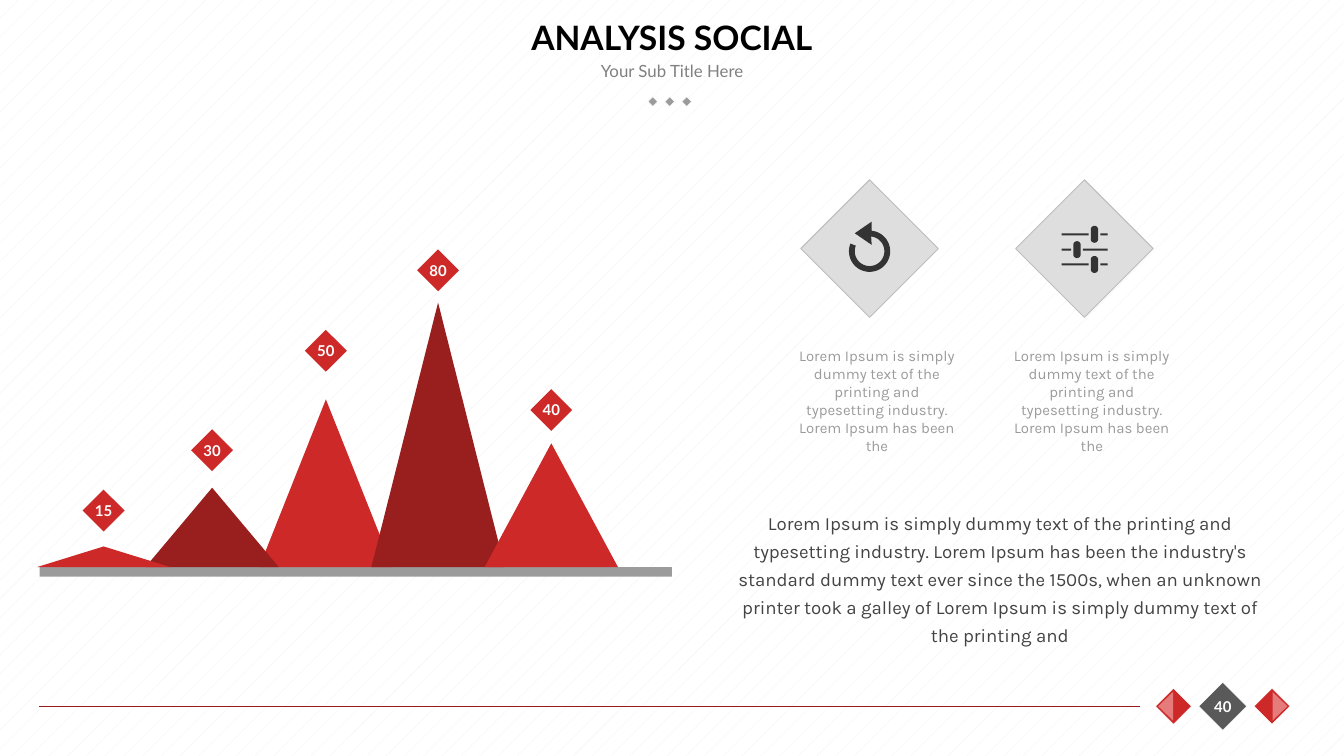
import math

import pptx
import pptx.dml.color
import pptx.enum.dml
import pptx.enum.shapes
import pptx.enum.text
import pptx.oxml.ns
import pptx.util
from lxml import etree

Cm = pptx.util.Cm
Pt = pptx.util.Pt
RGBColor = pptx.dml.color.RGBColor
Shape = pptx.enum.shapes.MSO_SHAPE
Align = pptx.enum.text.PP_ALIGN
Anchor = pptx.enum.text.MSO_ANCHOR

RED = RGBColor(0xCD, 0x29, 0x29)
DARK_RED = RGBColor(0x99, 0x1E, 0x1E)
RULE_RED = RGBColor(0x99, 0x1A, 0x1A)
PINK = RGBColor(0xE5, 0x7B, 0x7B)
GRAY = RGBColor(0x9B, 0x9B, 0x9B)
SUBTITLE_GRAY = RGBColor(0x80, 0x80, 0x80)
NUMBER_GRAY = RGBColor(0x59, 0x59, 0x59)
TEXT_GRAY = RGBColor(0x43, 0x43, 0x43)
ICON_GRAY = RGBColor(0x33, 0x33, 0x33)
TILE_GRAY = RGBColor(0xDE, 0xDE, 0xDE)
TILE_EDGE = RGBColor(0xBD, 0xBD, 0xBD)
PATTERN_GRAY = RGBColor(0xF2, 0xF2, 0xF2)
WHITE = RGBColor(0xFF, 0xFF, 0xFF)
BLACK = RGBColor(0, 0, 0)

CARD_TEXT = ("Lorem Ipsum is simply dummy text of the printing and typesetting "
             "industry. Lorem Ipsum has been the")
SUMMARY_TEXT = ("Lorem Ipsum is simply dummy text of the printing and typesetting "
                "industry. Lorem Ipsum has been the industry's standard dummy text "
                "ever since the 1500s, when an unknown printer took a galley of "
                "Lorem Ipsum is simply dummy text of the printing and")

# Value, peak x, peak height, marker height above the base, colour; back to front
PEAKS = [
    (50, 5.45, 3.17, 4.09, RED),
    (80, 7.57, 5.0, 5.61, DARK_RED),
    (40, 9.71, 2.34, 2.97, RED),
    (30, 3.3, 1.5, 2.21, DARK_RED),
    (15, 1.25, 0.39, 1.07, RED),
]


def paint(shape, fill, edge=None, weight=0.25):
    shape.shadow.inherit = False
    shape.fill.solid()
    shape.fill.fore_color.rgb = fill
    if edge is None:
        shape.line.fill.background()
    else:
        shape.line.color.rgb = edge
        shape.line.width = Pt(weight)


def add_centred(page, kind, x, y, width, height, fill, edge=None, rotation=0, weight=0.25):
    shape = page.shapes.add_shape(kind, Cm(x - width / 2), Cm(y - height / 2),
                                  Cm(width), Cm(height))
    shape.rotation = rotation
    paint(shape, fill, edge, weight)


def add_tilted_square(page, x, y, side, fill, edge=None):
    add_centred(page, Shape.RECTANGLE, x, y, side, side, fill, edge, 315)


def add_outline(page, contours, fill):
    builder = None
    for contour in contours:
        points = [(Cm(x), Cm(y)) for x, y in contour]
        if builder is None:
            builder = page.shapes.build_freeform(*points[0])
        else:
            builder.move_to(*points[0])
        builder.add_line_segments(points[1:], close=True)
    paint(builder.convert_to_shape(), fill)


def add_text(page, left, top, width, height, text, font, size, color, bold=False,
             anchor=Anchor.MIDDLE, inset=0.0, spacing=None):
    box = page.shapes.add_textbox(Cm(left), Cm(top), Cm(width), Cm(height))
    frame = box.text_frame
    frame.word_wrap = True
    frame.vertical_anchor = anchor
    frame.margin_left = frame.margin_right = Cm(inset)
    frame.margin_top = frame.margin_bottom = Cm(inset / 2)
    para = frame.paragraphs[0]
    para.text = text
    para.alignment = Align.CENTER
    para.line_spacing = spacing
    para.font.name = font
    para.font.size = Pt(size)
    para.font.bold = bold
    para.font.color.rgb = color


def arc(x, y, radius, start, end, steps=40):
    angles = [math.radians(start + (end - start) * i / steps) for i in range(steps + 1)]
    return [(x + radius * math.cos(a), y + radius * math.sin(a)) for a in angles]


def add_heading(page, left, top, width):
    add_text(page, left, top, width, 1.42, "ANALYSIS SOCIAL", "Lato", 18, BLACK, True)
    add_text(page, left, top + 1.02, width, 0.64, "Your Sub Title Here", "Lato", 9,
             SUBTITLE_GRAY)
    for step in (-1, 0, 1):
        add_tilted_square(page, left + width / 2 - 0.04 + step * 0.32, top + 1.92,
                          0.13, GRAY, WHITE)


def add_peak_chart(page, left, base, width):
    bar = page.shapes.add_shape(Shape.RECTANGLE, Cm(left), Cm(base), Cm(width), Cm(0.18))
    paint(bar, GRAY)
    for value, offset, height, marker_height, color in PEAKS:
        x, y = left + offset - 0.04, base - marker_height
        add_outline(page, [[(x, base - height), (x + 1.26, base), (x - 1.26, base)]], color)
        add_tilted_square(page, x, y, 0.56, RED)
        add_text(page, x - 0.43, y - 0.3, 0.86, 0.6, str(value), "Lato", 8, WHITE, True)


def add_refresh_icon(page, x, y):
    y += 0.05
    arrow = [(x + 0.04, y - 0.56), (x - 0.28, y - 0.34), (x + 0.04, y - 0.12)]
    ring = arc(x, y, 0.39, 202, -84) + arrow + arc(x, y, 0.28, -84, 202)
    add_outline(page, [ring], ICON_GRAY)


def add_slider_icon(page, x, y):
    contours = []
    for row, knob in ((-0.27, 0.19), (0.02, -0.14), (0.3, 0.19)):
        knob_x, row_y = x + knob, y + row
        contours.append(arc(knob_x, row_y - 0.09, 0.07, 180, 360, 12)
                        + arc(knob_x, row_y + 0.09, 0.07, 0, 180, 12))
        # Track on each side of the knob
        for start, end in ((x - 0.43, knob_x - 0.11), (knob_x + 0.11, x + 0.44)):
            contours.append([(start, row_y - 0.02), (end, row_y - 0.02),
                             (end, row_y + 0.02), (start, row_y + 0.02)])
    add_outline(page, contours, ICON_GRAY)


def add_card(page, left, top, width, add_icon):
    x, y = left + width / 2 - 0.14, top + 1.3
    add_centred(page, Shape.DIAMOND, x, y, 2.6, 2.6, TILE_GRAY, TILE_EDGE, weight=0.5)
    add_icon(page, x, y)
    add_text(page, left, top + 3.03, width, 1.96, CARD_TEXT, "Karla", 8, GRAY,
             anchor=Anchor.TOP, inset=0.25)


def add_footer(page, left, middle, right):
    rule = page.shapes.add_connector(pptx.enum.shapes.MSO_CONNECTOR.STRAIGHT, Cm(left),
                                     Cm(middle), Cm(right - 2.84), Cm(middle))
    rule.line.color.rgb = RULE_RED
    rule.line.width = Pt(0.75)
    etree.SubElement(rule._element.spPr, pptx.oxml.ns.qn("a:effectLst"))
    # Page number between two arrows
    x = right - 1.28
    add_tilted_square(page, x, middle, 0.64, NUMBER_GRAY, WHITE)
    for side, rotation in ((1, 90), (-1, 270)):
        add_tilted_square(page, x + side * 0.93, middle, 0.48, RED, WHITE)
        add_centred(page, Shape.FLOWCHART_EXTRACT, x + side * 1.08, middle, 0.54, 0.28,
                    PINK, rotation=rotation)
    add_text(page, x - 0.53, middle - 0.32, 1.06, 0.64, "40", "Lato", 8, WHITE, True)


def main():
    deck = pptx.Presentation()
    deck.slide_width, deck.slide_height = Cm(25.4), Cm(14.29)
    page = deck.slides.add_slide(deck.slide_layouts[6])
    fill = page.background.fill
    fill.patterned()
    fill.pattern = pptx.enum.dml.MSO_PATTERN.PERCENT_5
    fill.fore_color.rgb = PATTERN_GRAY
    fill.back_color.rgb = WHITE

    add_heading(page, 1.9, 0, 21.6)
    add_peak_chart(page, 0.75, 10.72, 11.95)
    for index, add_icon in enumerate((add_refresh_icon, add_slider_icon)):
        add_card(page, 14.76 + index * 4.06, 3.4, 3.63, add_icon)
    add_text(page, 13.56, 9.45, 10.67, 2.39, SUMMARY_TEXT, "Karla", 10, TEXT_GRAY,
             anchor=Anchor.TOP, inset=0.25, spacing=Pt(15))
    add_footer(page, 0.74, 13.35, 24.39)
    deck.save("out.pptx")


if __name__ == "__main__":
    main()
